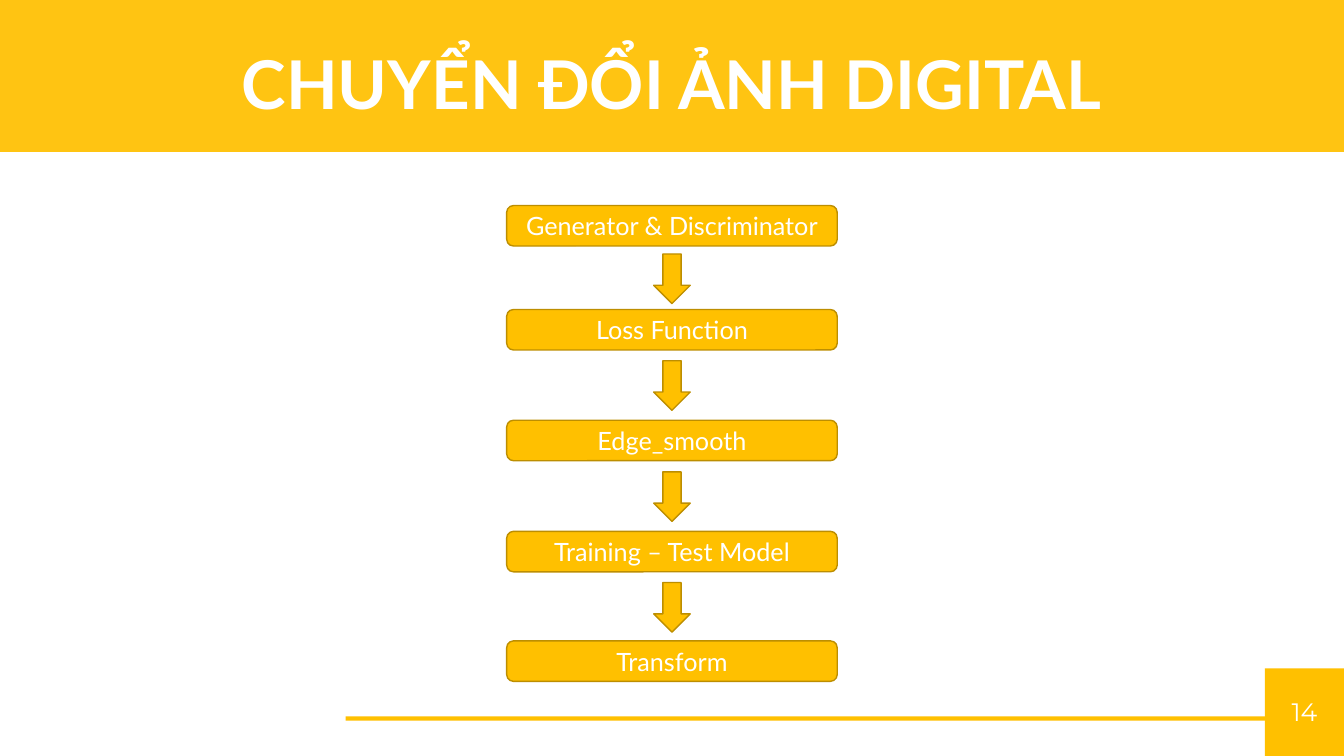
"""Build the slide showing the steps of digital image conversion."""
from lxml import etree
from pptx import Presentation
from pptx import util as u
from pptx.dml.color import RGBColor
from pptx.enum import shapes, text
from pptx.oxml.ns import qn

AMBER = RGBColor(0xFF, 0xC0, 0x00)
BRONZE = RGBColor(0xBD, 0x8E, 0x00)
WHITE = RGBColor(0xFF, 0xFF, 0xFF)

SLIDE_WIDTH, SLIDE_HEIGHT = 33.87, 19.05
STEP_WIDTH, STEP_HEIGHT = 8.33, 1.02
ARROW_WIDTH, ARROW_HEIGHT = 0.92, 1.25

STEPS = [
    ("Generator & Discriminator", 5.18),
    ("Loss Function", 7.8),
    ("Edge_smooth", 10.59),
    ("Training – Test Model", 13.39),
    ("Transform", 16.15),
]
ARROW_TOPS = [6.4, 9.09, 11.89, 14.68]

deck = Presentation()
deck.slide_width = u.Cm(SLIDE_WIDTH)
deck.slide_height = u.Cm(SLIDE_HEIGHT)
page = deck.slides.add_slide(deck.slide_layouts[6])


def add_block(kind, left, top, width, height, outlined=False):
    """Add an amber shape, with a thin bronze outline if asked."""
    block = page.shapes.add_shape(kind, u.Cm(left), u.Cm(top), u.Cm(width), u.Cm(height))
    block.shadow.inherit = False
    block.fill.solid()
    block.fill.fore_color.rgb = AMBER
    if outlined:
        block.line.color.rgb = BRONZE
        block.line.width = u.Pt(1)
    else:
        block.line.fill.background()
    return block


def write(box, wording, size, font, bold=False):
    """Write one centred white line into a box."""
    para = box.text_frame.paragraphs[0]
    para.alignment = text.PP_ALIGN.CENTER
    span = para.add_run()
    span.text = wording
    span.font.size = u.Pt(size)
    span.font.name = font
    span.font.bold = bold
    span.font.color.rgb = WHITE


add_block(shapes.MSO_SHAPE.RECTANGLE, 31.88, 16.84, 1.99, 2.21)
number_box = page.shapes.add_textbox(u.Cm(32.2), u.Cm(17.43), u.Cm(1.35), u.Cm(1.02))
number_box.text_frame.word_wrap = False
write(number_box, "14", 18, "Montserrat")
add_block(shapes.MSO_SHAPE.RECTANGLE, 8.71, 18.05, 23.37, 0.11)

banner = add_block(shapes.MSO_SHAPE.RECTANGLE, 0, 0, SLIDE_WIDTH, 3.83)
banner_color = banner.fill._xPr.find(qn("a:solidFill"))[0]
etree.SubElement(banner_color, qn("a:alpha"), val="93000")
title_box = page.shapes.add_textbox(u.Cm(5.74), u.Cm(0.94), u.Cm(22.38), u.Cm(2.31))
title_box.text_frame.word_wrap = False
write(title_box, "CHUYỂN ĐỔI ẢNH DIGITAL", 48, "Lato", bold=True)

for label, top in STEPS:
    step = add_block(shapes.MSO_SHAPE.ROUNDED_RECTANGLE, (SLIDE_WIDTH - STEP_WIDTH) / 2, top,
                     STEP_WIDTH, STEP_HEIGHT, outlined=True)
    step.text_frame.word_wrap = True
    step.text_frame.vertical_anchor = text.MSO_ANCHOR.MIDDLE
    write(step, label, 18, "Lato")

for top in ARROW_TOPS:
    add_block(shapes.MSO_SHAPE.DOWN_ARROW, (SLIDE_WIDTH - ARROW_WIDTH) / 2, top,
              ARROW_WIDTH, ARROW_HEIGHT, outlined=True)

deck.save("out.pptx")
